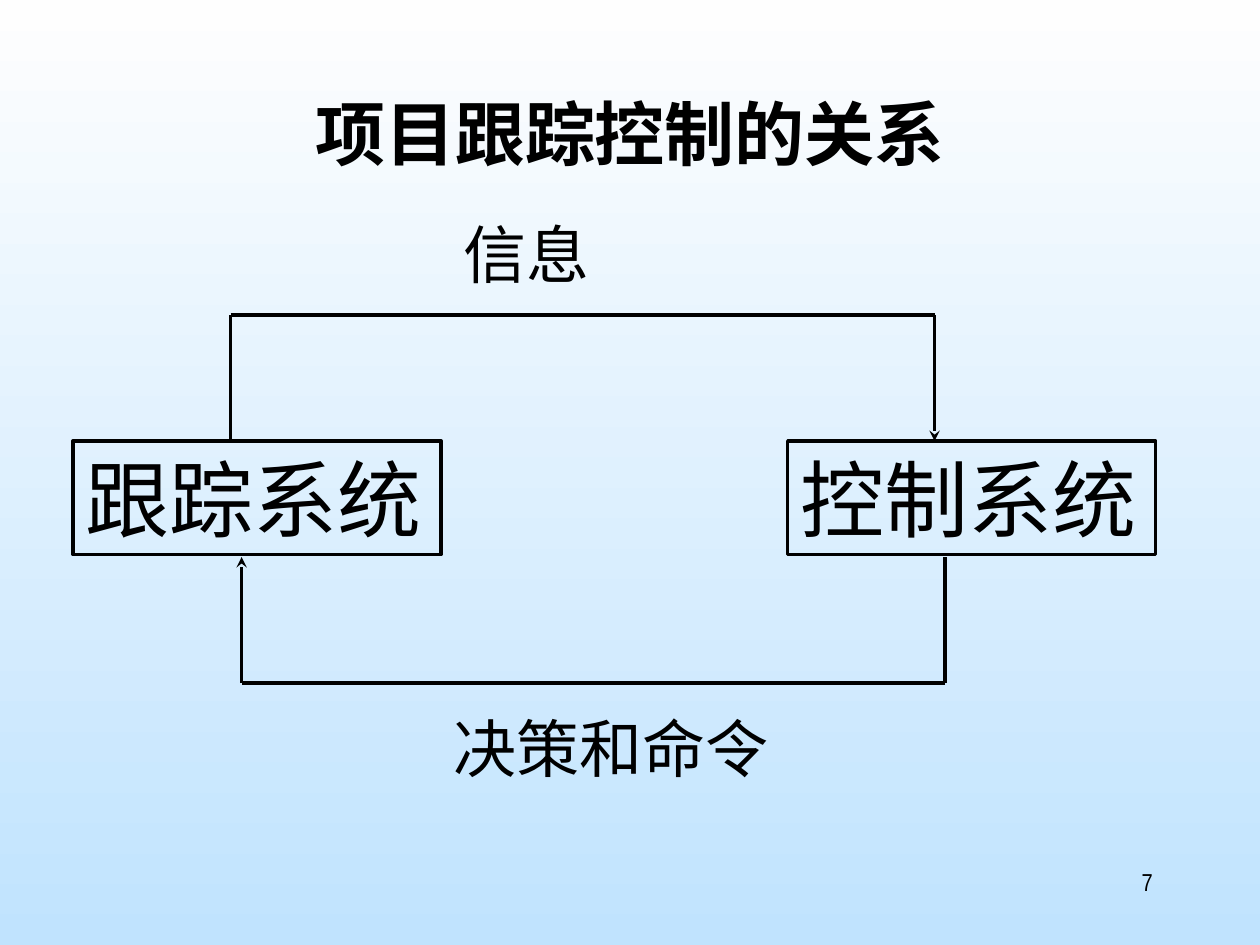
"""Build a slide on how project tracking and project control relate."""
import pptx
import pptx.dml.color
import pptx.enum.shapes
import pptx.enum.text
import pptx.oxml.ns
import pptx.util
from lxml import etree

Cm = pptx.util.Cm
ALIGN = pptx.enum.text.PP_ALIGN
COLORS = {"ink": "000000", "sky_top": "FEFEFE", "sky_bottom": "C0E3FE"}
LATIN_FONT = "Arial Narrow"
CHINESE_FONT = "Noto Sans CJK SC"


def color(name):
    return pptx.dml.color.RGBColor.from_string(COLORS[name])


def add_xml(parent, tag, **attributes):
    return etree.SubElement(parent, pptx.oxml.ns.qn(tag), **attributes)


class SlideBuilder:
    """Hold the slide and its style, and draw each kind of element."""

    line_width = pptx.util.Pt(2)

    def __init__(self, presentation):
        self.slide = presentation.slides.add_slide(presentation.slide_layouts[5])

    def background(self):
        fill = self.slide.background.fill
        fill.gradient()
        fill.gradient_angle = 270
        for stop, name in zip(fill.gradient_stops, ("sky_top", "sky_bottom")):
            stop.color.rgb = color(name)

    def set_text(self, shape, text, size, font=LATIN_FONT, align=ALIGN.LEFT, bold=False):
        frame = shape.text_frame
        frame.text = text
        frame.word_wrap = True
        frame.auto_size = pptx.enum.text.MSO_AUTO_SIZE.NONE
        frame.vertical_anchor = pptx.enum.text.MSO_ANCHOR.TOP
        paragraph = frame.paragraphs[0]
        paragraph.alignment = align
        run = paragraph.runs[0]
        run.font.name = font
        run.font.size = pptx.util.Pt(size)
        run.font.bold = bold
        run.font.color.rgb = color("ink")
        add_xml(run._r.get_or_add_rPr(), "a:ea", typeface=CHINESE_FONT)

    def title(self, text, left, top, width, height):
        shape = self.slide.shapes.title
        shape.left, shape.top = Cm(left), Cm(top)
        shape.width, shape.height = Cm(width), Cm(height)
        self.set_text(shape, text, 40, CHINESE_FONT, ALIGN.CENTER, True)

    def label(self, text, left, top, width, height, size=36, align=ALIGN.LEFT):
        shape = self.slide.shapes.add_textbox(Cm(left), Cm(top), Cm(width), Cm(height))
        self.set_text(shape, text, size, align=align)

    def system_box(self, text, left, top, width, height):
        shape = self.slide.shapes.add_shape(
            pptx.enum.shapes.MSO_SHAPE.RECTANGLE, Cm(left), Cm(top), Cm(width), Cm(height))
        shape.shadow.inherit = False
        shape.fill.background()
        shape.line.color.rgb = color("ink")
        shape.line.width = self.line_width
        self.set_text(shape, text, 48)

    def line(self, start, end, arrow=False):
        connector = self.slide.shapes.add_connector(
            pptx.enum.shapes.MSO_CONNECTOR.STRAIGHT, *map(Cm, start + end))
        connector.line.color.rgb = color("ink")
        connector.line.width = self.line_width
        properties = connector._element.spPr
        if arrow:
            add_xml(properties.find(pptx.oxml.ns.qn("a:ln")), "a:tailEnd", type="stealth")
        add_xml(properties, "a:effectLst")

    def route(self, *points):
        for index, (start, end) in enumerate(zip(points, points[1:])):
            self.line(start, end, arrow=index == len(points) - 2)


def main():
    presentation = pptx.Presentation()
    presentation.slide_width, presentation.slide_height = Cm(25.4), Cm(19.05)
    builder = SlideBuilder(presentation)
    builder.background()
    builder.title("项目跟踪控制的关系", 1.9, 1.7, 21.6, 3.18)

    box_top, box_height, rise = 8.89, 2.29, 2.54
    for text, left in (("跟踪系统", 1.47), ("控制系统", 15.88)):
        builder.system_box(text, left, box_top, 7.42, box_height)

    upper, lower = box_top - rise, box_top + box_height + 0.05
    builder.route((4.65, box_top), (4.65, upper), (18.84, upper), (18.84, box_top))
    builder.route((19.05, lower), (19.05, lower + rise),
                  (4.87, lower + rise), (4.87, lower))

    builder.label("信息", 9.1, 4.23, 4.02, 1.78)
    builder.label("决策和命令", 8.89, 14.18, 7.2, 1.78)
    builder.label("7", 18.2, 17.36, 5.29, 1.27, 14, ALIGN.RIGHT)
    presentation.save("out.pptx")


if __name__ == "__main__":
    main()
